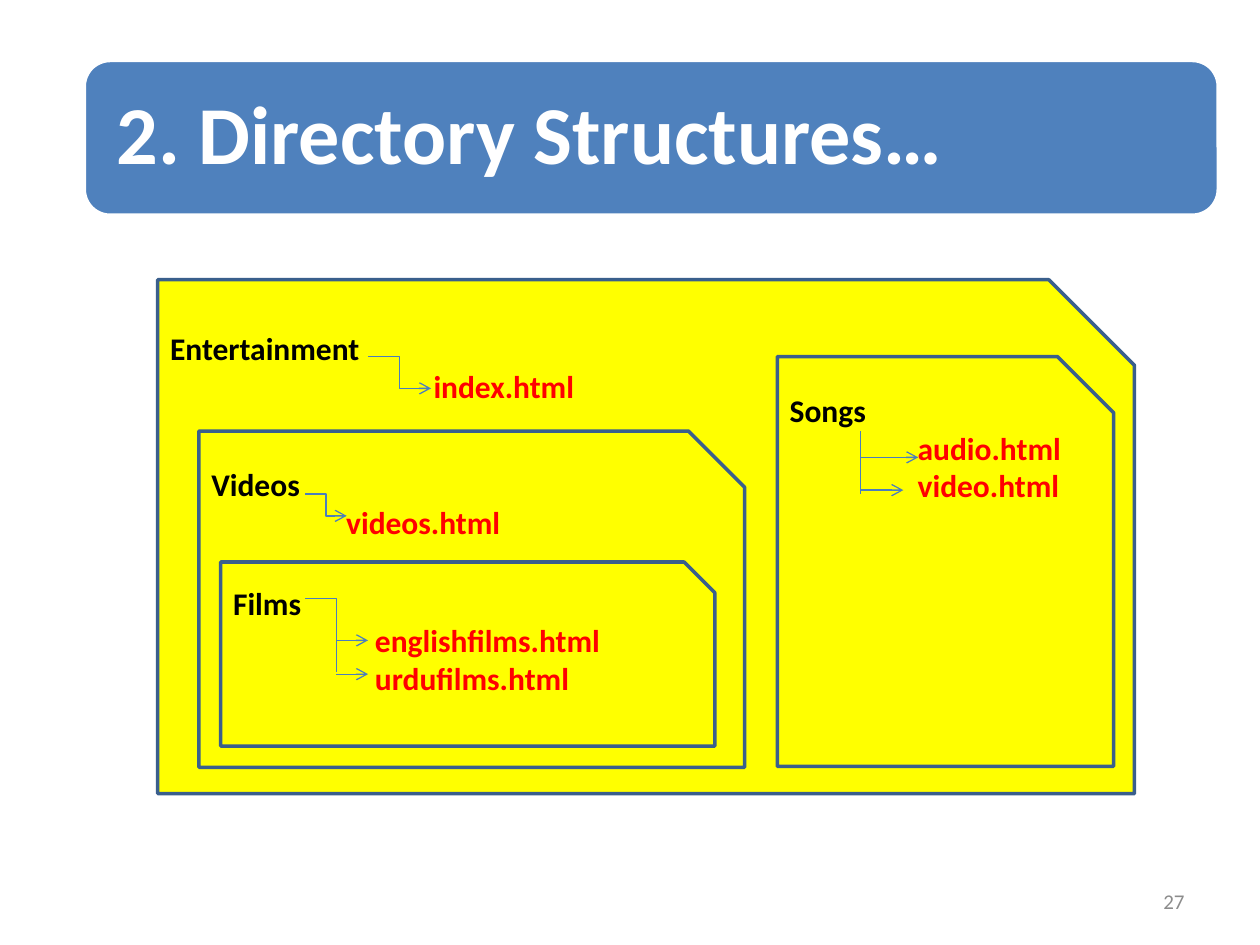
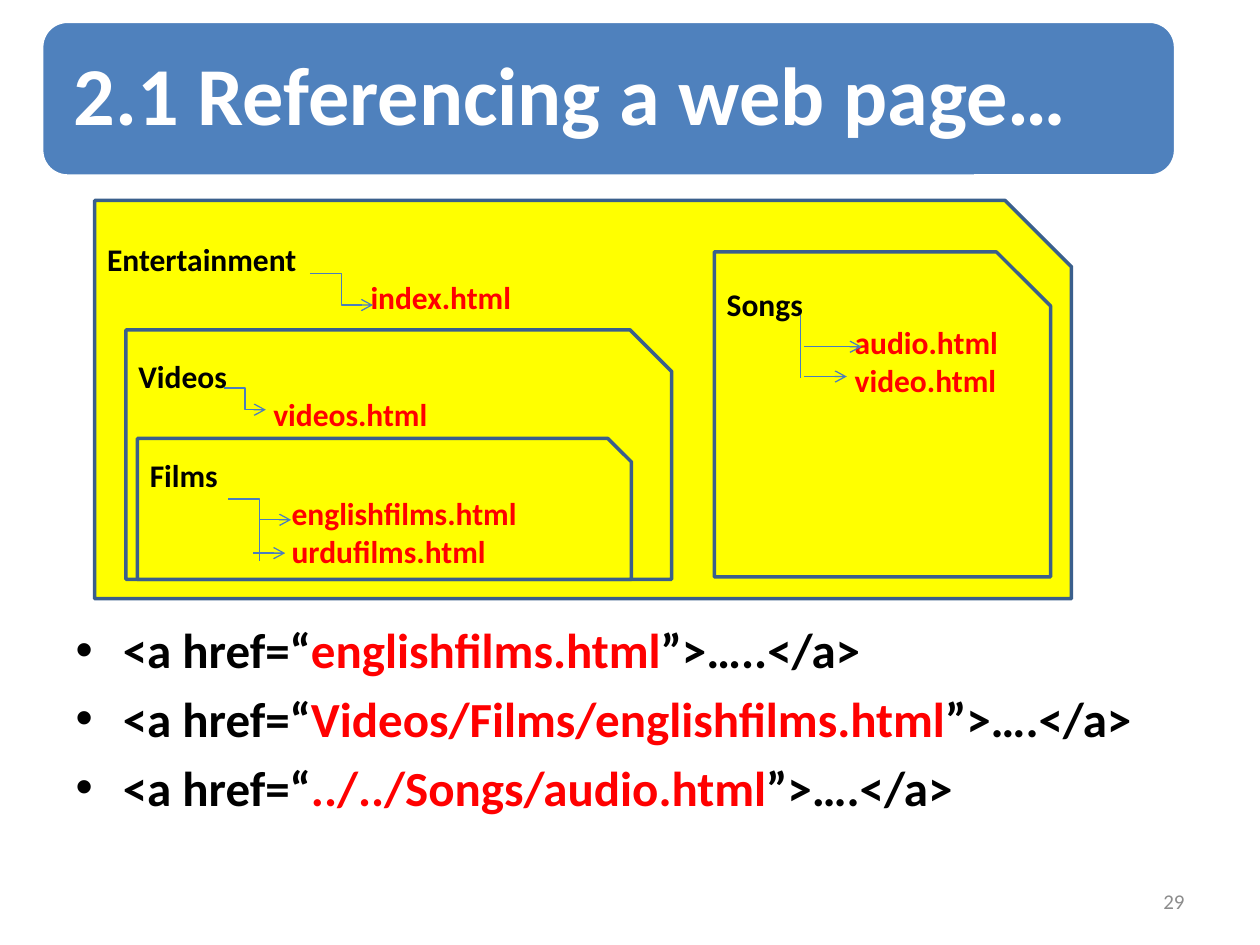
from dataclasses import dataclass

from lxml import etree
from pptx import Presentation, util as u
from pptx.dml.color import RGBColor
from pptx.enum import shapes, text
from pptx.oxml.ns import qn


@dataclass(frozen=True)
class Theme:
    font: str = "Calibri"
    band: RGBColor = RGBColor(0x4F, 0x81, 0xBD)
    white: RGBColor = RGBColor(0xFF, 0xFF, 0xFF)
    folder: RGBColor = RGBColor(0xFF, 0xFF, 0x00)
    outline: RGBColor = RGBColor(0x3A, 0x5F, 0x8C)
    branch: RGBColor = RGBColor(0x4B, 0x7E, 0xBC)
    ink: RGBColor = RGBColor(0x00, 0x00, 0x00)
    file: RGBColor = RGBColor(0xFF, 0x00, 0x00)
    number: RGBColor = RGBColor(0x8C, 0x8C, 0x8C)
    title_size: u.Pt = u.Pt(47)
    list_size: u.Pt = u.Pt(28)
    folder_size: u.Pt = u.Pt(18)
    number_size: u.Pt = u.Pt(12)
    thick: u.Pt = u.Pt(2)
    thin: u.Pt = u.Pt(0.75)


THEME = Theme()


def write_spans(para, size, spans, bold=True):
    """Fill a paragraph with (words, colour) spans of one size."""
    for words, colour in spans:
        span = para.add_run()
        span.text = words
        for name, value in {"name": THEME.font, "size": size, "bold": bold}.items():
            setattr(span.font, name, value)
        span.font.color.rgb = colour


def add_panel(page, kind, place, fill, line):
    panel = page.shapes.add_shape(kind, *map(u.Cm, place))
    panel.shadow.inherit = False
    panel.fill.solid()
    panel.fill.fore_color.rgb = fill
    panel.line.color.rgb = line
    panel.line.width = THEME.thick
    return panel


# Folder name: width, indent of its files, files
FOLDERS = {
    "Entertainment": (19.69, 5.31, ["index.html"]),
    "Videos": (11, 2.72, ["videos.html"]),
    "Films": (9.96, 2.86, ["englishfilms.html", "urdufilms.html"]),
    "Songs": (6.78, 2.58, ["audio.html", "video.html"]),
}

# Branch name: run across, drop, arrowhead
BRANCHES = {
    "index": (1.27, 0.64, True),
    "videos": (0.84, 0.44, True),
    "english films": (1.27, 0.84, True),
    "films stem": (0, 1.05, False),
    "urdu films": (0.64, 0, True),
    "songs stem": (0, 1.27, False),
    "audio": (1.16, 0, True),
    "video": (0.86, 0, True),
}

PAGES = [
    {
        "title": "2. Directory Structures…",
        "number": "27",
        "layout": 5,
        "band": (1.7, 1.22),
        # left, top, height, in the order of FOLDERS
        "folders": [(3.18, 5.64, 10.36), (4.01, 8.69, 6.78),
                    (4.45, 11.33, 3.71), (15.67, 7.19, 8.26)],
        # starting points, in the order of BRANCHES
        "branches": [(7.42, 7.19), (6.15, 9.96), (6.15, 12.07), (6.78, 12.5),
                     (6.78, 13.59), (17.35, 8.69), (17.35, 9.22), (17.35, 9.88)],
        "drops": {},
        "links": [],
    },
    {
        "title": "2.1 Referencing a web page…",
        "number": "29",
        "layout": 1,
        "band": (0.84, 0.43),
        "folders": [(1.91, 4.04, 8.03), (2.54, 6.65, 5.03),
                    (2.77, 8.84, 2.84), (14.4, 5.08, 6.55)],
        "branches": [(6.25, 5.51), (4.52, 7.82), (4.6, 10.06), (5.23, 10.26),
                     (5.11, 11.15), (16.13, 6.35), (16.21, 6.99), (16.21, 7.59)],
        "drops": {"english films": 0.42},
        "links": [("englishfilms.html", "”>…..</a>"),
                  ("Videos/Films/englishfilms.html", "”>….</a>"),
                  ("../../Songs/audio.html", "”>….</a>")],
    },
]

deck = Presentation()
deck.slide_width, deck.slide_height = u.Cm(25.4), u.Cm(19.05)

for plan in PAGES:
    page = deck.slides.add_slide(deck.slide_layouts[plan["layout"]])

    # List of links
    if plan["links"]:
        body = page.placeholders[1]
        body.left, body.top, body.width, body.height = map(u.Cm, (1.27, 12.37, 22.86, 4.65))
        frame = body.text_frame
        frame.auto_size = text.MSO_AUTO_SIZE.NONE
        for index, (target, ending) in enumerate(plan["links"]):
            para = frame.add_paragraph() if index else frame.paragraphs[0]
            para.space_before = u.Pt(5.6 if index else 0)
            write_spans(para, THEME.list_size, [
                ("<a href=“", THEME.ink), (target, THEME.file), (ending, THEME.ink)])

    # Page number
    box = page.shapes.add_textbox(*map(u.Cm, (18.21, 17.65, 5.92, 1.02)))
    box.text_frame.word_wrap = True
    box.text_frame.vertical_anchor = text.MSO_ANCHOR.MIDDLE
    para = box.text_frame.paragraphs[0]
    para.alignment = text.PP_ALIGN.RIGHT
    write_spans(para, THEME.number_size, [(plan["number"], THEME.number)], bold=False)

    # Nested folders
    for (name, (width, indent, files)), (left, top, height) in zip(FOLDERS.items(), plan["folders"]):
        folder = add_panel(page, shapes.MSO_SHAPE.SNIP_1_RECTANGLE,
                           (left, top, width, height), THEME.folder, THEME.outline)
        frame = folder.text_frame
        frame.word_wrap = True
        frame.vertical_anchor = text.MSO_ANCHOR.TOP
        para = frame.paragraphs[0]
        para.alignment = text.PP_ALIGN.LEFT
        write_spans(para, THEME.folder_size, [(name, THEME.ink)])
        for file in files:
            para = frame.add_paragraph()
            para.alignment = text.PP_ALIGN.LEFT
            para._p.get_or_add_pPr().set("marL", str(u.Cm(indent)))
            write_spans(para, THEME.folder_size, [(file, THEME.file)])

    # Branches from folders to files
    for (name, (across, drop, arrow)), (x, y) in zip(BRANCHES.items(), plan["branches"]):
        drop = plan["drops"].get(name, drop)
        kind = shapes.MSO_CONNECTOR.ELBOW if across and drop else shapes.MSO_CONNECTOR.STRAIGHT
        branch = page.shapes.add_connector(kind, *map(u.Cm, (x, y, x + across, y + drop)))
        branch.line.color.rgb = THEME.branch
        branch.line.width = THEME.thin
        if arrow:
            etree.SubElement(branch.line._get_or_add_ln(), qn("a:tailEnd"), type="arrow")
        etree.SubElement(branch._element.spPr, qn("a:effectLst"))

    # Title on its band
    left, top = plan["band"]
    add_panel(page, shapes.MSO_SHAPE.ROUNDED_RECTANGLE,
              (left, top, 22.86, 3.12), THEME.band, THEME.white)
    title = page.shapes.title
    page.shapes._spTree.append(title._element)  # brings the title in front of the band
    title.left, title.top, title.width, title.height = map(
        u.Cm, (left + 0.15, top + 0.15, 22.56, 2.82))
    frame = title.text_frame
    margins = dict.fromkeys(("margin_left", "margin_top", "margin_right", "margin_bottom"), u.Cm(0.5))
    for name, value in {**margins, "word_wrap": True,
                        "auto_size": text.MSO_AUTO_SIZE.NONE,
                        "vertical_anchor": text.MSO_ANCHOR.MIDDLE}.items():
        setattr(frame, name, value)
    para = frame.paragraphs[0]
    para.alignment = text.PP_ALIGN.LEFT
    para.line_spacing = 0.9
    write_spans(para, THEME.title_size, [(plan["title"], THEME.white)])

deck.save("out.pptx")
